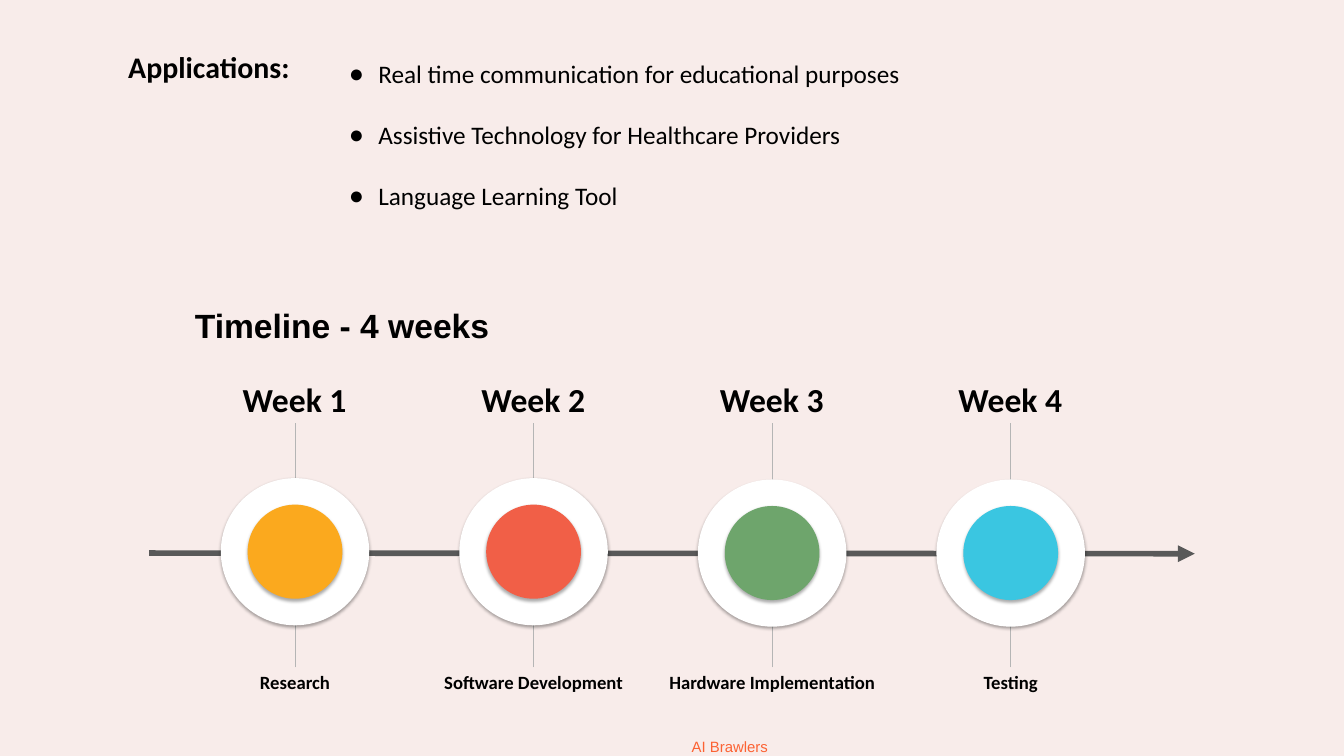
import pptx
import pptx.util
import pptx.dml.color
import pptx.enum.shapes
import pptx.enum.text
import pptx.oxml
import pptx.oxml.ns
from dataclasses import dataclass
from lxml import etree

Inches = pptx.util.Inches
Pt = pptx.util.Pt
ALIGN = pptx.enum.text.PP_ALIGN
ANCHOR = pptx.enum.text.MSO_ANCHOR
SHAPE = pptx.enum.shapes.MSO_SHAPE
qn = pptx.oxml.ns.qn
NS = pptx.oxml.ns.nsdecls("a")


@dataclass(frozen=True)
class Theme:
    background: str = "F8ECEA"
    text: str = "000000"
    footer: str = "FC6233"
    ring: str = "FFFFFF"
    guide: str = "B5B5B5"
    arrow: str = "595959"
    body_font: str = "Calibri"
    title_font: str = "Arial"
    title_size: int = 36
    heading_size: int = 32
    list_size: int = 27
    label_size: int = 20
    footer_size: int = 16


def rgb(value):
    return pptx.dml.color.RGBColor.from_string(value)


class Deck:
    def __init__(self, theme):
        self.theme = theme
        self.prs = pptx.Presentation()
        self.prs.slide_width = Inches(20)
        self.prs.slide_height = Inches(11.25)
        self.s = self.prs.slides.add_slide(self.prs.slide_layouts[1])
        fill = self.s.background.fill
        fill.solid()
        fill.fore_color.rgb = rgb(theme.background)

    def frame(self, sp, box, insets, anchor):
        sp.left, sp.top, sp.width, sp.height = map(Inches, box)
        tf = sp.text_frame
        tf.word_wrap = True
        tf.auto_size = pptx.enum.text.MSO_AUTO_SIZE.NONE
        tf.vertical_anchor = anchor
        tf.margin_left, tf.margin_top, tf.margin_right, tf.margin_bottom = map(Inches, insets)
        return tf

    def run(self, p, text, size, font=None, color=None, bold=False):
        r = p.add_run()
        r.text = text
        r.font.size = Pt(size)
        r.font.name = font or self.theme.body_font
        r.font.bold = bold
        r.font.color.rgb = rgb(color or self.theme.text)

    def title(self, text, box):
        tf = self.frame(self.s.shapes.title, box, (0.1, 0.05, 0, 0.05), ANCHOR.TOP)
        p = tf.paragraphs[0]
        p.alignment = ALIGN.LEFT
        p.line_spacing = 0.9
        self.run(p, text, self.theme.title_size, self.theme.title_font, bold=True)

    def bullets(self, items, box):
        tf = self.frame(self.s.placeholders[1], box, (0.1,) * 4, ANCHOR.TOP)
        for i, item in enumerate(items):
            p = tf.add_paragraph() if i else tf.paragraphs[0]
            p.space_before = Pt(33 if i else 0)
            pPr = p._p.get_or_add_pPr()
            pPr.set("marL", str(Inches(0.5)))
            pPr.set("indent", str(Inches(-0.44)))
            color = etree.SubElement(pPr, qn("a:buClr"))
            etree.SubElement(color, qn("a:srgbClr"), val=self.theme.text)
            etree.SubElement(pPr, qn("a:buChar"), char="●")
            self.run(p, item, self.theme.list_size)

    def text(self, text, box, size, insets=(0.1,) * 4, anchor=ANCHOR.TOP,
             align=ALIGN.CENTER, **style):
        sp = self.s.shapes.add_textbox(*map(Inches, box))
        tf = self.frame(sp, box, insets, anchor)
        p = tf.paragraphs[0]
        p.alignment = align
        self.run(p, text, size, **style)

    def line(self, start, end, color, width, arrow=False):
        sp = self.s.shapes.add_connector(
            pptx.enum.shapes.MSO_CONNECTOR.STRAIGHT, *map(Inches, start + end))
        sp.line.color.rgb = rgb(color)
        sp.line.width = Pt(width)
        if arrow:
            etree.SubElement(sp.line._get_or_add_ln(), qn("a:tailEnd"), type="triangle")
        etree.SubElement(sp._element.spPr, qn("a:effectLst"))

    def circle(self, cx, cy, width, height, color):
        box = (cx - width / 2, cy - height / 2, width, height)
        sp = self.s.shapes.add_shape(SHAPE.OVAL, *map(Inches, box))
        sp.fill.solid()
        sp.fill.fore_color.rgb = rgb(color)
        sp.line.fill.background()
        sp.shadow.inherit = False
        sp._element.spPr.find(qn("a:effectLst")).append(pptx.oxml.parse_xml(
            f'<a:outerShdw {NS} blurRad="{Pt(3.5)}" dist="{Pt(2.2)}" dir="5400000" '
            'algn="t" rotWithShape="0"><a:srgbClr val="000000">'
            '<a:alpha val="32000"/></a:srgbClr></a:outerShdw>'))


def main():
    theme = Theme()
    deck = Deck(theme)
    weeks = [
        ("Week 1", "Research", "FBA91E", 8.21),
        ("Week 2", "Software Development", "F15F47", 8.21),
        ("Week 3", "Hardware Implementation", "6EA56C", 8.23),
        ("Week 4", "Testing", "3AC6E1", 8.23),
    ]
    centers = [4.39 + 3.55 * i for i in range(len(weeks))]

    deck.text("AI Brawlers", (6.62, 10.98, 8.48, 0.27), theme.footer_size,
              insets=(0,) * 4, font=theme.title_font, color=theme.footer)
    deck.text("Applications:", (1.81, 0.62, 9.45, 0.74), theme.heading_size,
              align=ALIGN.LEFT, bold=True)
    deck.bullets([
        "Real time communication for educational purposes",
        "Assistive Technology for Healthcare Providers",
        "Language Learning Tool",
    ], (5.03, 0.77, 9.82, 2.47))
    deck.title("Timeline - 4 weeks", (2.8, 4.55, 13.86, 1.33))

    for cx in centers:
        deck.line((cx, 9.93), (cx, 6.3), theme.guide, 0.75)
    deck.line((2.22, 8.23), (17.78, 8.24), theme.arrow, 6, arrow=True)
    for cx, (week, task, color, cy) in zip(centers, weeks):
        deck.circle(cx, cy, 2.21, 2.19, theme.ring)
        deck.circle(cx, cy, 1.41, 1.4, color)
        deck.text(week, (cx - 1.02, 5.59, 2.03, 0.71), theme.title_size,
                  insets=(0.1, 0.05, 0.1, 0.05), anchor=ANCHOR.MIDDLE, bold=True)
        deck.text(task, (cx - 1.59, 9.93, 3.18, 0.44), theme.label_size,
                  insets=(0, 0.05, 0, 0.05), anchor=ANCHOR.BOTTOM, bold=True)

    deck.prs.save("out.pptx")


if __name__ == "__main__":
    main()
